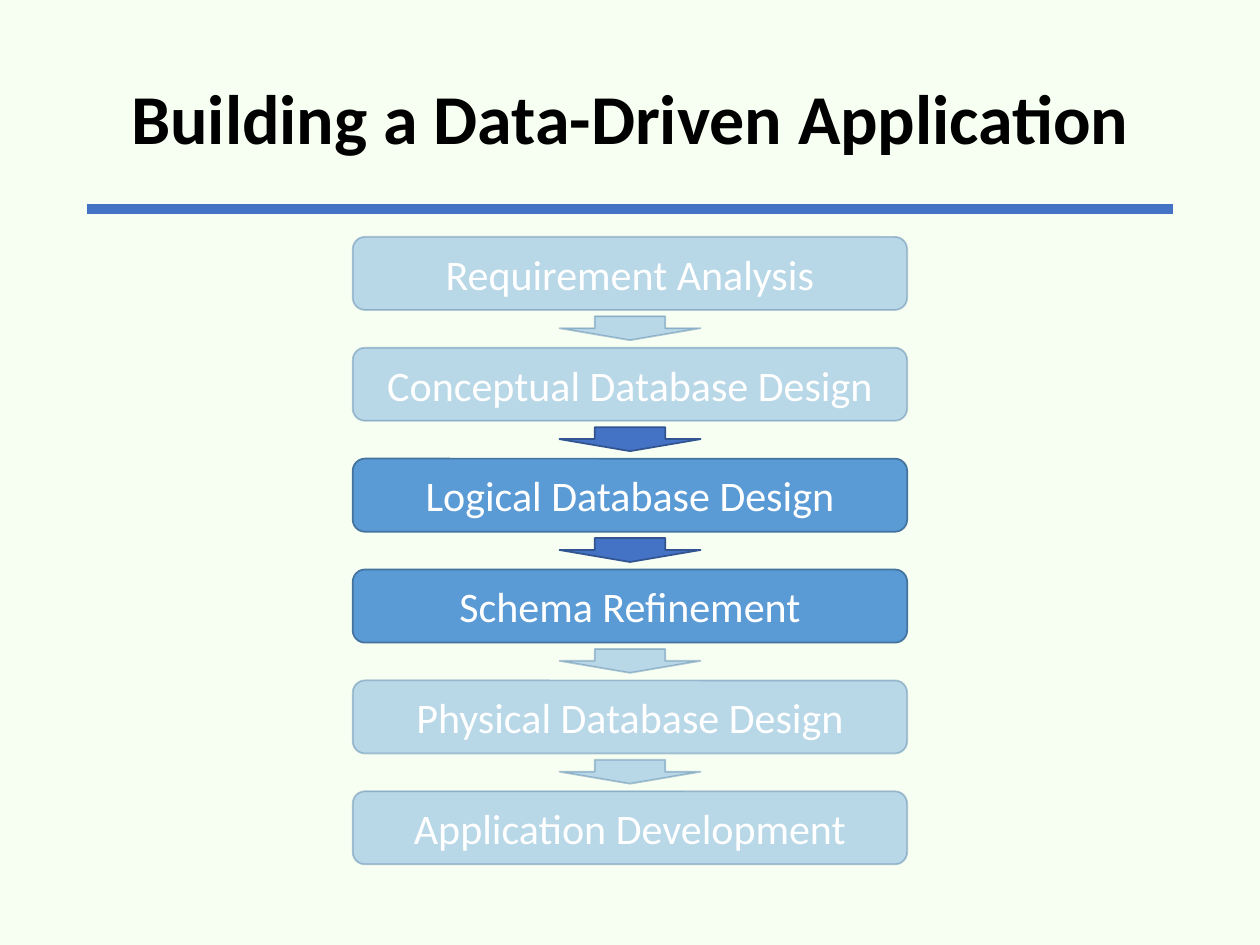
"""Build a slide showing the steps of a data-driven application."""
import pptx
import pptx.dml.color
import pptx.enum.shapes
import pptx.enum.text
import pptx.oxml
import pptx.oxml.ns
import pptx.util

Inches = pptx.util.Inches
Pt = pptx.util.Pt
RGBColor = pptx.dml.color.RGBColor
SHAPE = pptx.enum.shapes.MSO_SHAPE
qn = pptx.oxml.ns.qn
NS = pptx.oxml.ns.nsdecls("a")

CREAM = RGBColor(0xF7, 0xFF, 0xF3)
BLACK = RGBColor(0, 0, 0)
WHITE = RGBColor(0xFF, 0xFF, 0xFF)
BLUE = RGBColor(0x44, 0x72, 0xC4)
NAVY = RGBColor(0x32, 0x54, 0x91)
SKY = RGBColor(0x5B, 0x9B, 0xD5)
STEEL = RGBColor(0x43, 0x73, 0x9E)


def write(shape, text, size=24, color=WHITE, bold=False, spacing=1.0):
    frame = shape.text_frame
    frame.word_wrap = True
    frame.vertical_anchor = pptx.enum.text.MSO_ANCHOR.MIDDLE
    para = frame.paragraphs[0]
    para.alignment = pptx.enum.text.PP_ALIGN.CENTER
    para.line_spacing = spacing
    run = para.add_run()
    run.text = text
    run.font.name = "Calibri"
    run.font.size = Pt(size)
    run.font.bold = bold
    run.font.color.rgb = color


def draw(kind, left, top, width, height, fill, edge, faded):
    shape = slide.shapes.add_shape(
        kind, Inches(left), Inches(top), Inches(width), Inches(height))
    shape.shadow.inherit = False
    shape.fill.solid()
    shape.fill.fore_color.rgb = fill
    shape.line.color.rgb = edge
    shape.line.width = Pt(1)
    if faded:
        for color in shape.element.spPr.iter(qn("a:srgbClr")):
            color.append(pptx.oxml.parse_xml(f'<a:alpha {NS} val="40000"/>'))
    return shape


deck = pptx.Presentation()
deck.slide_width = Inches(10)
deck.slide_height = Inches(7.5)
slide = deck.slides.add_slide(deck.slide_layouts[6])
slide.background.fill.solid()
slide.background.fill.fore_color.rgb = CREAM

rule = slide.shapes.add_connector(
    pptx.enum.shapes.MSO_CONNECTOR.STRAIGHT,
    Inches(0.69), Inches(1.66), Inches(9.31), Inches(1.66))
rule.line.color.rgb = BLUE
rule.line.width = Pt(6)
rule.element.spPr.append(pptx.oxml.parse_xml(f"<a:effectLst {NS}/>"))

title = slide.shapes.add_textbox(
    Inches(0.39), Inches(0.24), Inches(9.22), Inches(1.45))
write(title, "Building a Data-Driven Application",
      size=40, color=BLACK, bold=True, spacing=0.9)

STEPS = ["Requirement Analysis", "Conceptual Database Design",
         "Logical Database Design", "Schema Refinement",
         "Physical Database Design", "Application Development"]
ACTIVE = ("Logical Database Design", "Schema Refinement")
PITCH = 0.88

for i, step in enumerate(STEPS):
    faded = step not in ACTIVE
    top = 1.88 + i * PITCH
    box = draw(SHAPE.ROUNDED_RECTANGLE, 2.8, top, 4.4, 0.58,
               SKY, STEEL, faded)
    write(box, step)
    if i > 0:
        fill, edge = (SKY, STEEL) if faded else (BLUE, NAVY)
        draw(SHAPE.DOWN_ARROW, 4.44, top - 0.25, 1.12, 0.19,
             fill, edge, faded)

deck.save("out.pptx")
